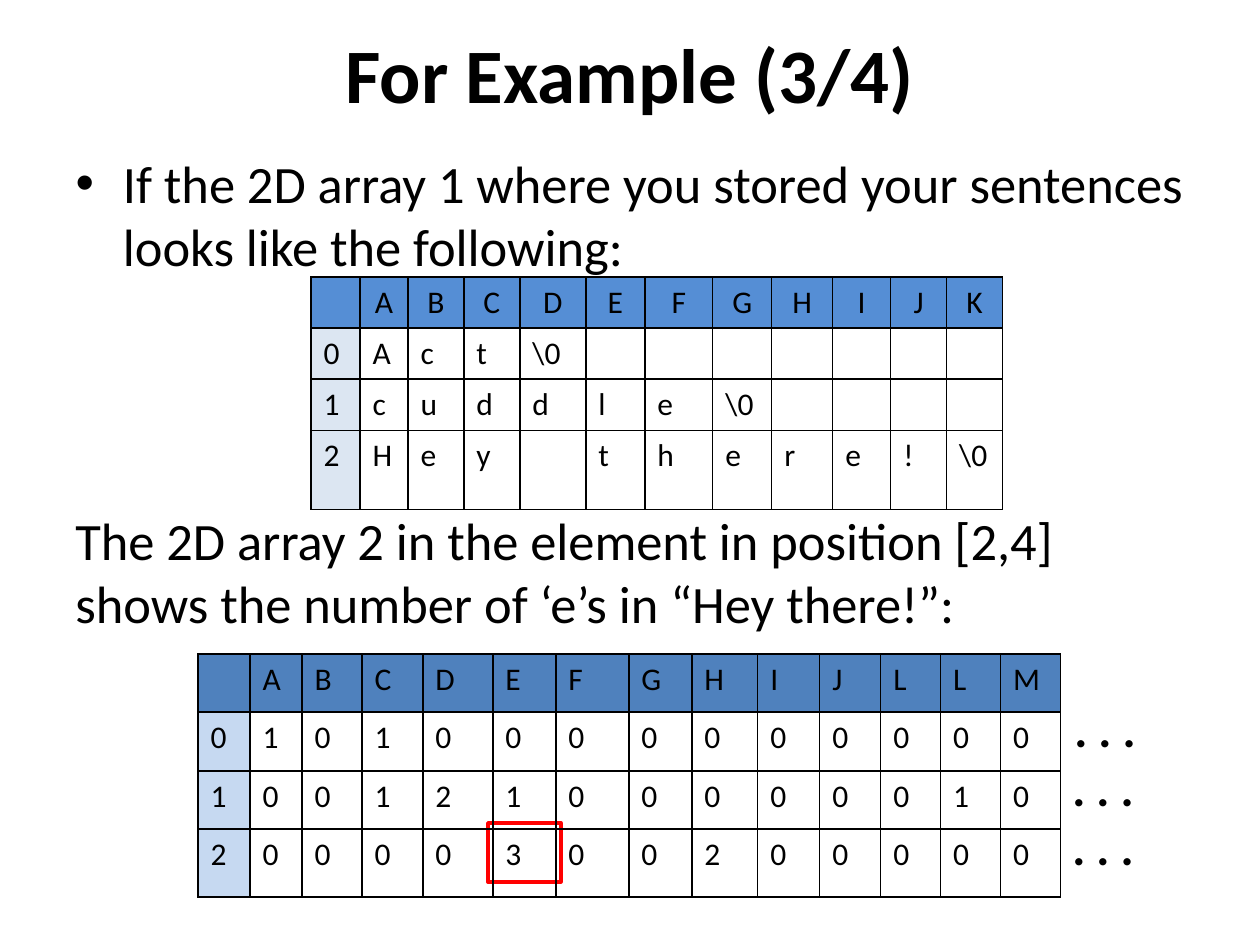
from dataclasses import dataclass

from lxml import etree
from pptx import Presentation
from pptx import util as u
from pptx.dml.color import RGBColor
from pptx.enum import shapes, text
from pptx.oxml import ns

PX = 914400 // 126


@dataclass(frozen=True)
class Theme:
    font: str = "Calibri"
    ink: str = "000000"
    mark: str = "FF0000"
    title: int = 44
    body: int = 30
    dots: int = 28
    cell: int = 18


THEME = Theme()

# Content
TITLE = "For Example (3/4)"
SENTENCES = "If the 2D array 1 where you stored your sentences looks like the following:"
COUNTS = "The 2D array 2 in the element in position [2,4] shows the number of ‘e’s in “Hey there!”:"
DOTS = ". . ."

LETTER_GRID = {
    "at": (311, 277),
    "columns": (49, 48, 56, 56, 66, 59, 68, 59, 61, 58, 56, 56),
    "rows": (51, 51, 51, 79),
    "head": "558ED5",
    "side": "DCE6F2",
    "head_align": text.PP_ALIGN.CENTER,
    "cells": [
        ["", *"ABCDEFGHIJK"],
        ["0", *"Act", r"\0"],
        ["1", *"cuddle", r"\0"],
        ["2", *"Hey there!", r"\0"],
    ],
}
COUNT_GRID = {
    "at": (198, 654),
    "columns": (52, 52, 60, 61, 70, 63, 73, 63, 66, 62, 61, 60, 60, 60),
    "rows": (58, 59, 58, 68),
    "head": "4F81BD",
    "side": "C6D9F1",
    "head_align": text.PP_ALIGN.LEFT,
    "cells": [
        ["", *"ABCDEFGHIJLLM"],
        ["0", *"1010000000000"],
        ["1", *"0012100000010"],
        ["2", *"0000300200000"],
    ],
}
DOTS_AT = [(1062, 692), (1060, 751), (1060, 810)]


def color(code):
    return RGBColor.from_string(code)


def place(shape, left, top, width, height):
    shape.left, shape.top = left * PX, top * PX
    shape.width, shape.height = width * PX, height * PX


def style(para, size, bold=False, align=text.PP_ALIGN.LEFT):
    para.alignment = align
    para.space_before = u.Pt(0)
    para.font.name = THEME.font
    para.font.size = u.Pt(size)
    para.font.bold = bold
    para.font.color.rgb = color(THEME.ink)


def write(shape, words, size, wrap=True, **look):
    frame = shape.text_frame
    frame.word_wrap = wrap
    frame.auto_size = text.MSO_AUTO_SIZE.NONE if wrap else text.MSO_AUTO_SIZE.SHAPE_TO_FIT_TEXT
    frame.text = words
    style(frame.paragraphs[0], size, **look)


def add_words(page, words, area, size, **look):
    box = page.shapes.add_textbox(*(n * PX for n in area))
    write(box, words, size, **look)


def outline_cell(cell):
    props = cell._tc.get_or_add_tcPr()
    for index, side in enumerate(("lnL", "lnR", "lnT", "lnB")):
        line = etree.Element(ns.qn(f"a:{side}"), w=str(u.Pt(1)))
        fill = etree.SubElement(line, ns.qn("a:solidFill"))
        etree.SubElement(fill, ns.qn("a:srgbClr"), val=THEME.ink)
        props.insert(index, line)


def add_grid(page, grid):
    columns, rows = grid["columns"], grid["rows"]
    area = (*grid["at"], sum(columns), sum(rows))
    table = page.shapes.add_table(len(rows), len(columns), *(n * PX for n in area)).table
    for column, width in zip(table.columns, columns):
        column.width = width * PX
    for r, (row, height) in enumerate(zip(table.rows, rows)):
        row.height = height * PX
        words = grid["cells"][r]
        for c, cell in enumerate(row.cells):
            cell.text = words[c].strip() if c < len(words) else ""
            align = grid["head_align"] if r == 0 else text.PP_ALIGN.LEFT
            style(cell.text_frame.paragraphs[0], THEME.cell, align=align)
            if r == 0 or c == 0:
                cell.fill.solid()
                cell.fill.fore_color.rgb = color(grid["side"] if r else grid["head"])
            else:
                cell.fill.background()
            outline_cell(cell)


def main():
    deck = Presentation()
    deck.slide_width, deck.slide_height = 1260 * PX, 945 * PX
    page = deck.slides.add_slide(deck.slide_layouts[1])

    # Title and explanations
    title, body = page.shapes.title, page.placeholders[1]
    place(title, 0, 9, 1260, 128)
    write(title, TITLE, THEME.title, bold=True, align=text.PP_ALIGN.CENTER)
    title.text_frame.vertical_anchor = text.MSO_ANCHOR.MIDDLE
    place(body, 63, 145, 1134, 169)
    props = body.text_frame.paragraphs[0]._p.get_or_add_pPr()
    props.set("marL", "0")
    props.set("indent", "0")
    etree.SubElement(props, ns.qn("a:buNone"))
    write(body, SENTENCES, THEME.body)
    add_words(page, COUNTS, (63, 502, 1134, 169), THEME.body)

    # Frame around the count at [2,4]
    frame = page.shapes.add_shape(shapes.MSO_SHAPE.RECTANGLE, 0, 0, 0, 0)
    place(frame, 488, 823, 73, 59)
    frame.shadow.inherit = False
    frame.fill.background()
    frame.line.color.rgb = color(THEME.mark)
    frame.line.width = u.Pt(2)

    # Arrays and continuation dots
    add_grid(page, LETTER_GRID)
    for left, top in DOTS_AT:
        add_words(page, DOTS, (left, top, 87, 72), THEME.dots, wrap=False, bold=True)
    add_grid(page, COUNT_GRID)

    deck.save("out.pptx")


if __name__ == "__main__":
    main()
